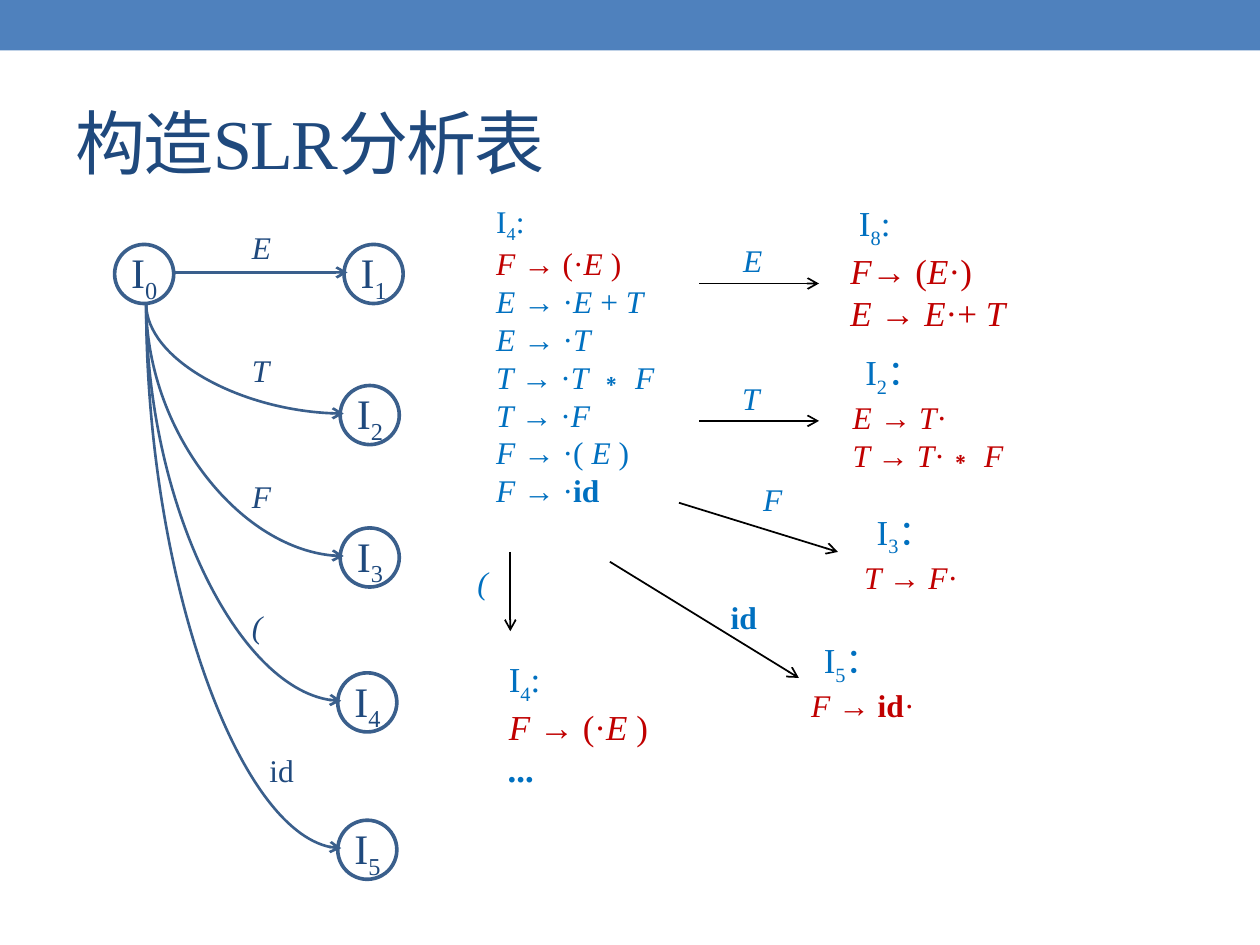
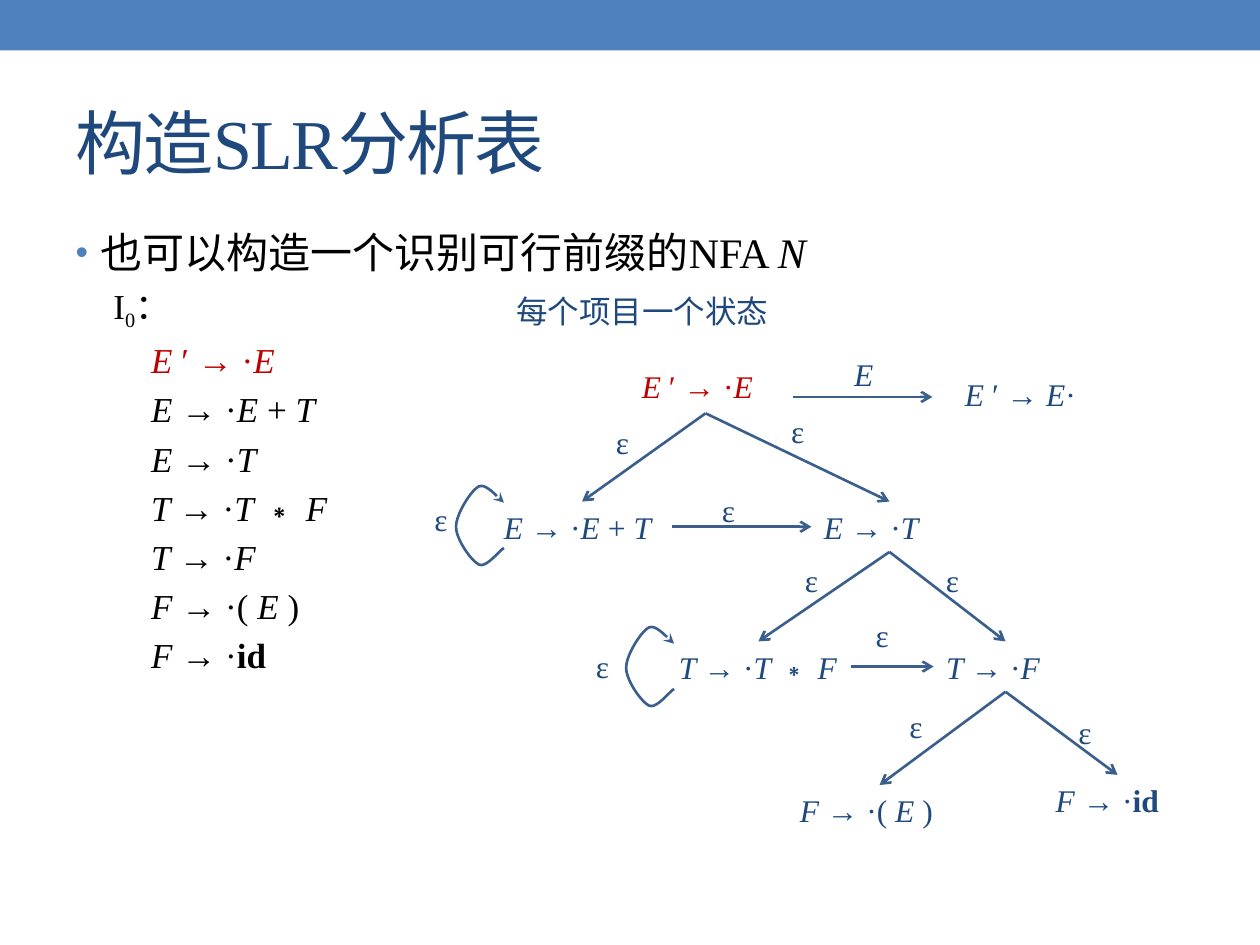
from lxml import etree
from pptx import Presentation
from pptx.dml.color import RGBColor
from pptx.enum.shapes import MSO_CONNECTOR, MSO_SHAPE
from pptx.enum.text import MSO_ANCHOR, MSO_AUTO_SIZE, PP_ALIGN
from pptx.oxml.ns import qn
from pptx.util import Pt

RECTANGLE, OVAL = MSO_SHAPE.RECTANGLE, MSO_SHAPE.OVAL
STRAIGHT, CURVE = MSO_CONNECTOR.STRAIGHT, MSO_CONNECTOR.CURVE
TOP, MIDDLE = MSO_ANCHOR.TOP, MSO_ANCHOR.MIDDLE
FIT_SHAPE, NO_FIT = MSO_AUTO_SIZE.SHAPE_TO_FIT_TEXT, MSO_AUTO_SIZE.NONE
LEFT = PP_ALIGN.LEFT

BAND_BLUE = RGBColor(0x4F, 0x81, 0xBD)
NAVY = RGBColor(0x1F, 0x49, 0x7D)
LINE_BLUE = RGBColor(0x3A, 0x5F, 0x8C)
BLUE = RGBColor(0x00, 0x70, 0xC0)
RED = RGBColor(0xC0, 0x00, 0x00)
BLACK = RGBColor(0x00, 0x00, 0x00)
FONT = "Times New Roman"
TITLE = "构造SLR分析表"
LABEL_HEIGHT = 28.8
CIRCLE = 33.8

E_SUM = "~E ~→ ·~E ~+ ~T"
E_TERM = "~E ~→ ·~T"
T_PRODUCT = "~T ~→ ·~T ~∗~ F"
T_FACTOR = "~T ~→ ·~F"
F_GROUP = "~F ~→ ·( ~E ~)"
F_ID = "~F ~→ ·#id"
START_ITEM = "~E ~′ → ·~E"
SHIFTED_GROUP = "~F ~→ (·~E ~)"
CLOSURE = [E_SUM, E_TERM, T_PRODUCT, T_FACTOR, F_GROUP, F_ID]


def write_runs(paragraph, markup, size, colour):
    """~ toggles italic, # toggles bold, ^ toggles subscript."""
    italic = bold = subscript = False
    pieces = markup.replace("~", "\0~\0").replace("#", "\0#\0").replace("^", "\0^\0")
    for piece in filter(None, pieces.split("\0")):
        if piece == "~":
            italic = not italic
        elif piece == "#":
            bold = not bold
        elif piece == "^":
            subscript = not subscript
        else:
            run = paragraph.add_run()
            run.text = piece
            font = run.font
            font.name, font.size, font.italic, font.bold = FONT, Pt(size), italic, bold
            font.color.rgb = colour
            if subscript:
                run.font._element.set("baseline", "-25000")


def set_indent(paragraph, margin, first=0):
    properties = paragraph._p.get_or_add_pPr()
    properties.set("marL", str(Pt(margin)))
    properties.set("indent", str(Pt(first)))
    return properties


def add_text(slide, box, lines, anchor=TOP, wrap=True):
    """Each line is (markup, size, colour, margin, first-line indent)."""
    shape = slide.shapes.add_textbox(*map(Pt, box))
    frame = shape.text_frame
    frame.word_wrap = wrap
    frame.vertical_anchor = anchor
    frame.auto_size = FIT_SHAPE if wrap else NO_FIT
    for index, (markup, size, colour, margin, first) in enumerate(lines):
        paragraph = frame.add_paragraph() if index else frame.paragraphs[0]
        set_indent(paragraph, margin, first)
        write_runs(paragraph, markup, size, colour)


def add_label(slide, left, top, width, markup, colour=NAVY, size=18):
    add_text(slide, (left, top, width, LABEL_HEIGHT), [(markup, size, colour, 0, 0)])


def add_edge_label(slide, box, markup="ε"):
    add_text(slide, box, [(markup, 18, NAVY, 0, 0)], MIDDLE, False)


def style_line(shape, colour, width, tail):
    shape.line.color.rgb = colour
    shape.line.width = Pt(width)
    outline = shape.element.spPr.get_or_add_ln()
    etree.SubElement(outline, qn("a:tailEnd"), type=tail)


def add_arrow(slide, start, end, colour=LINE_BLUE, width=1.5, kind=STRAIGHT):
    arrow = slide.shapes.add_connector(kind, *map(Pt, (*start, *end)))
    style_line(arrow, colour, width, "arrow")
    etree.SubElement(arrow.element.spPr, qn("a:effectLst"))
    return arrow


def add_curved_arrow(slide, start, end):
    """Leaves downwards and arrives from the left: a quarter curve turned by 90 degrees."""
    middle_x, middle_y = (start[0] + end[0]) / 2, (start[1] + end[1]) / 2
    half_width, half_height = (end[1] - start[1]) / 2, (end[0] - start[0]) / 2
    arrow = add_arrow(slide, (middle_x - half_width, middle_y + half_height),
                      (middle_x + half_width, middle_y - half_height), kind=CURVE)
    properties = arrow.element.spPr
    properties.find(qn("a:prstGeom")).set("prst", "curvedConnector2")
    properties.find(qn("a:xfrm")).set("rot", "5400000")


def add_state(slide, left, top, number):
    circle = slide.shapes.add_shape(OVAL, *map(Pt, (left, top, CIRCLE, CIRCLE)))
    circle.shadow.inherit = False
    circle.fill.background()
    circle.line.color.rgb = LINE_BLUE
    circle.line.width = Pt(2.08)
    add_text(slide, (left + 2.4, top - 2.2, 31.7, 36),
             [(f"I^{number}", 24, NAVY, 0, 0)])


def add_loop(slide, left, top):
    anchors = [(27.4, 37.4), (24.5, 38.9), (17.3, 49), (13, 46.8),
               (8.6, 44.6), (0, 32.4), (0, 25.2),
               (0, 18), (8.6, 4.3), (13, 2.2),
               (17.3, 0), (24.5, 9.4), (27.4, 11.5)]
    points = []
    for first in range(0, len(anchors) - 1, 3):
        for step in range(1, 11):
            t = step / 10
            weights = ((1 - t) ** 3, 3 * t * (1 - t) ** 2, 3 * t * t * (1 - t), t ** 3)
            curve = list(zip(weights, anchors[first:first + 4]))
            points.append((Pt(left + sum(w * x for w, (x, y) in curve)),
                           Pt(top + sum(w * y for w, (x, y) in curve))))
    builder = slide.shapes.build_freeform(Pt(left + anchors[0][0]), Pt(top + anchors[0][1]))
    builder.add_line_segments(points, close=False)
    loop = builder.convert_to_shape()
    loop.shadow.inherit = False
    loop.fill.background()
    style_line(loop, LINE_BLUE, 1.5, "stealth")


def add_band(presentation, slide):
    band = slide.shapes.add_shape(RECTANGLE, 0, 0, presentation.slide_width, Pt(28.8))
    band.shadow.inherit = False
    band.fill.solid()
    band.fill.fore_color.rgb = BAND_BLUE
    band.line.fill.background()
    band.element.nvSpPr.cNvPr.set("id", "20")
    presentation.slide_master.shapes.element.insert(2, band.element)


def place(shape, left, top, width, height):
    shape.left, shape.top, shape.width, shape.height = map(Pt, (left, top, width, height))


def add_title(slide):
    title = slide.shapes.title
    place(title, 36, 41.8, 648, 77.8)
    frame = title.text_frame
    frame.text = TITLE
    frame.vertical_anchor = MIDDLE
    frame.auto_size = NO_FIT
    paragraph = frame.paragraphs[0]
    paragraph.alignment = LEFT
    font = paragraph.runs[0].font
    font.name, font.size = FONT, Pt(40)
    font.color.rgb = NAVY
    font._element.set("spc", "-100")


def draw_automaton(slide):
    row_top = 139.7
    targets = [(196.6, row_top), (194.4, 220.3), (194.4, 301.7), (193, 384.5), (193, 468.7)]
    add_state(slide, 65.5, row_top, 0)
    for number, (left, top) in enumerate(targets, 1):
        add_state(slide, left, top, number)
        end = (left + 2, top + 16)
        if number == 1:
            add_arrow(slide, (99.4, end[1]), end)
        else:
            add_curved_arrow(slide, (83.5, 173.5), end)
    for top, markup in [(126.7, "~E"), (197.3, "~T"), (269.3, "~F"), (343.4, "~(")]:
        add_label(slide, 136.8, top, 24.5, markup)
    add_label(slide, 146.9, 425.5, 38.9, "id")


def add_hanging_items(slide, box, size, heading, items):
    lines = [(heading, size, BLUE, 36, -36)]
    lines += [(markup, size, colour, 36, -36) for markup, colour in items]
    add_text(slide, box, lines)


def add_target_items(slide, left, top, height, number, items):
    lines = [(f"I^{number}^：", 20, BLUE, 7.2, 0)]
    lines += [(markup, 18, RED, 0, 0) for markup in items]
    add_text(slide, (left, top, 204.5, height), lines)


def draw_transitions(slide):
    add_hanging_items(slide, (276.5, 111.6, 151.2, 181.4), 18, "I^4^:",
                      [(SHIFTED_GROUP, RED)] + [(item, BLUE) for item in CLOSURE])
    add_hanging_items(slide, (478.8, 111.6, 151.2, 80), 20, " I^8^:",
                      [("~F~→ (~E~·)", RED), ("~E ~→ ~E~·+ ~T", RED)])
    add_hanging_items(slide, (283.7, 372.2, 112.3, 80), 20, "I^4^:",
                      [(SHIFTED_GROUP, RED), ("~#...", BLUE)])
    add_target_items(slide, 480.2, 196.6, 75, 2, ["~E ~→ ~T~·", "~T ~→ ~T~·∗~ F"])
    add_target_items(slide, 486.7, 288, 53.3, 3, ["~T ~→ ~F~·"])
    add_target_items(slide, 456.5, 361.4, 53.3, 5, ["~F ~→ #id#·"])
    for start, end, label_left, label_top, markup in [
        ((399.6, 162), (468, 162), 417.6, 134, "~E"),
        ((399.6, 240.5), (468, 240.5), 417, 213, "~T"),
        ((388, 287.3), (478.8, 315.4), 429, 270.7, "~F"),
        ((348.5, 321), (456.5, 387.4), 410.4, 338.4, "#id"),
        ((291.6, 315.4), (291.6, 360.7), 265.7, 318.2, "~("),
    ]:
        add_arrow(slide, start, end, BLACK, 1)
        add_label(slide, label_left, label_top, 33, markup, BLUE)


def fill_body(body):
    place(body, 36, 126, 648, 383.8)
    frame = body.text_frame
    frame.auto_size = NO_FIT
    lines = [("也可以构造一个识别可行前缀的NFA ~N", 24, BLACK, 0, 14.4),
             ("I^0^：", 20, BLACK, 1, 21.6), (START_ITEM, 20, RED, 2, 43.2)]
    lines += [(item, 20, BLACK, 2, 43.2) for item in CLOSURE]
    for index, (markup, size, colour, level, margin) in enumerate(lines):
        paragraph = frame.add_paragraph() if index else frame.paragraphs[0]
        paragraph.level = level
        properties = set_indent(paragraph, margin, 0 if level else -margin)
        if level:
            etree.SubElement(properties, qn("a:buNone"))
        else:
            bullet_colour = etree.SubElement(properties, qn("a:buClr"))
            etree.SubElement(bullet_colour, qn("a:srgbClr"), val=str(BAND_BLUE))
            etree.SubElement(properties, qn("a:buSzPct"), val="85000")
            etree.SubElement(properties, qn("a:buChar"), char="•")
        write_runs(paragraph, markup, size, colour)


def draw_item_graph(slide):
    add_label(slide, 288, 163.4, 231, "每个项目一个状态")
    add_label(slide, 359.7, 206.4, 100, START_ITEM, RED)
    for left, top, width, markup in [
        (544.3, 211, 93.6, "~E ~′ → ~E~·"),
        (280.8, 286.6, 103, E_SUM), (463.7, 286.6, 89.3, E_TERM),
        (380.9, 366.5, 105, T_PRODUCT), (533.5, 366.5, 82, T_FACTOR),
        (450, 448.6, 105, F_GROUP), (596.2, 442.8, 84.2, F_ID),
    ]:
        add_label(slide, left, top, width, markup)
    for start, ends in [
        ((452.9, 226.8), [(532.8, 226.8)]),
        ((403.2, 236.2), [(332.6, 286.6), (508.3, 286.6)]),
        ((383.8, 301), [(463.7, 301)]),
        ((508.3, 315.4), [(433.4, 366.5), (574.6, 366.5)]),
        ((486, 380.9), [(533.5, 380.9)]),
        ((574.6, 395.3), [(502.6, 448.6), (638.6, 442.8)]),
    ]:
        for end in ends:
            add_arrow(slide, start, end)
    add_loop(slide, 260.6, 275.8)
    add_loop(slide, 357.8, 356.4)
    add_edge_label(slide, (481, 194.4, 19.4, 38.2), "~E")
    for box in [(445, 233.3, 36, 26), (344.9, 236.2, 26, 32.4), (405.4, 275.8, 28, 31)]:
        add_edge_label(slide, box)
    for left, top in [(241.2, 277.2), (452.9, 312.5), (533.5, 312.5), (333.4, 361.4)]:
        add_edge_label(slide, (left, top, 19.4, 38.2))
    for left, top in [(493.2, 350.6), (512.6, 402.5), (609.1, 406.1)]:
        add_edge_label(slide, (left, top, 20.2, 24.5))


presentation = Presentation()
presentation.slide_width, presentation.slide_height = Pt(720), Pt(540)

automaton_slide = presentation.slides.add_slide(presentation.slide_layouts[5])
add_band(presentation, automaton_slide)
add_title(automaton_slide)
draw_automaton(automaton_slide)
draw_transitions(automaton_slide)

graph_slide = presentation.slides.add_slide(presentation.slide_layouts[1])
add_title(graph_slide)
fill_body(graph_slide.placeholders[1])
draw_item_graph(graph_slide)

presentation.save("out.pptx")
